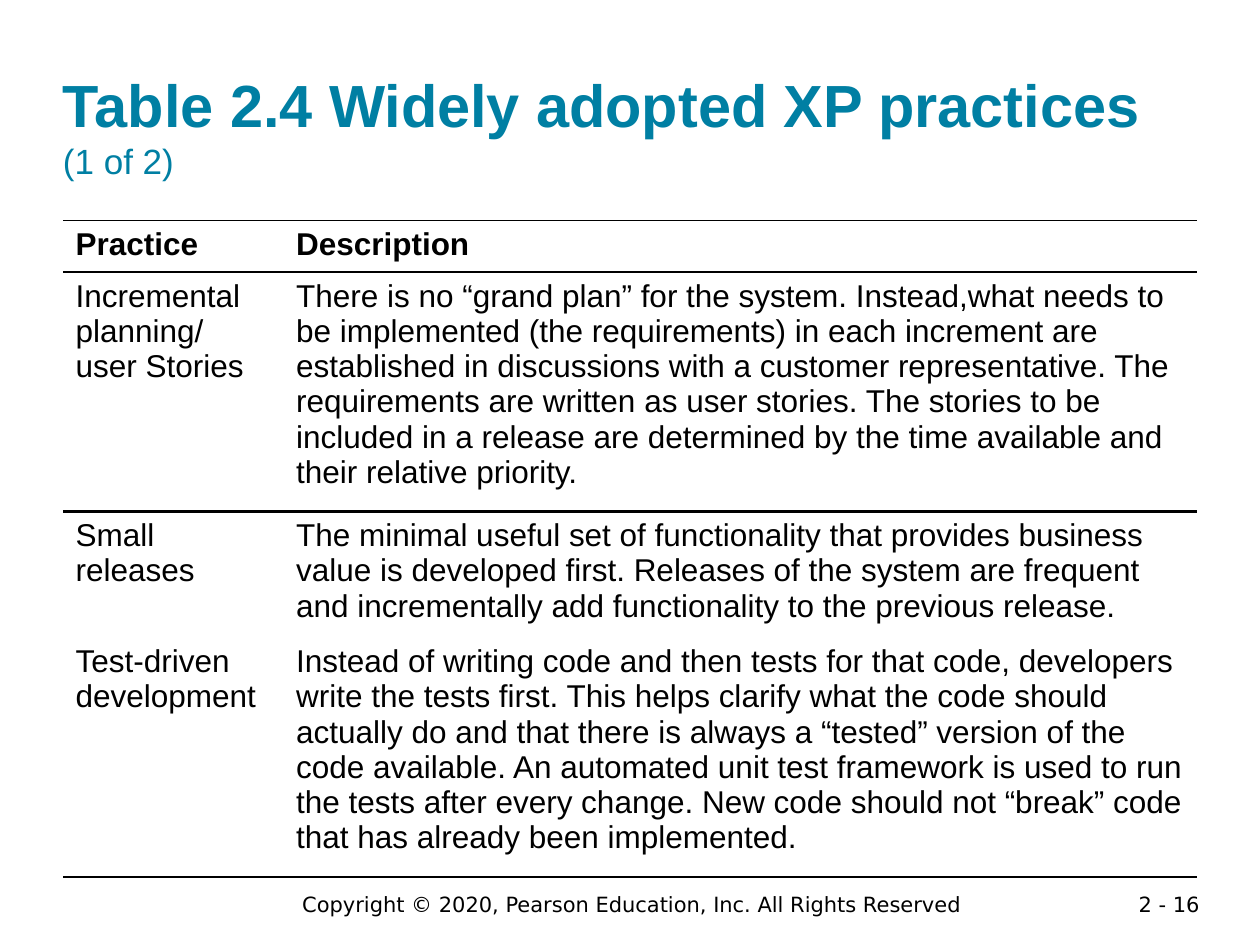
from typing import NamedTuple

from lxml import etree
from pptx import Presentation
from pptx.dml.color import RGBColor
from pptx.enum.text import MSO_ANCHOR, PP_ALIGN
from pptx.oxml.ns import qn
from pptx.util import Inches, Pt

LEFT, CENTER, RIGHT = PP_ALIGN.LEFT, PP_ALIGN.CENTER, PP_ALIGN.RIGHT
TOP, BOTTOM = MSO_ANCHOR.TOP, MSO_ANCHOR.BOTTOM
BLACK = RGBColor(0x00, 0x00, 0x00)
WHITE = RGBColor(0xFF, 0xFF, 0xFF)
TEAL = RGBColor(0x00, 0x7F, 0xA3)
BODY_FONT, FOOTER_FONT = "Arial", "DejaVu Sans"
COLUMN_WIDTHS = (1.75, 7.25)


class Practice(NamedTuple):
    name: str
    description: str
    height: float
    rule_below: float = 0
    bold: bool = False


class Footer(NamedTuple):
    text: str
    box: tuple[float, float, float, float]
    align: PP_ALIGN


PRACTICES = [
    Practice("Practice", "Description", 0.41, rule_below=1, bold=True),
    Practice(
        "Incremental planning/ user Stories",
        "There is no “grand plan” for the system. Instead,what needs to be "
        "implemented (the requirements) in each increment are established in "
        "discussions with a customer representative. The requirements are "
        "written as user stories. The stories to be included in a release are "
        "determined by the time available and their relative priority.",
        1.78, rule_below=1.5),
    Practice(
        "Small releases",
        "The minimal useful set of functionality that provides business value "
        "is developed first. Releases of the system are frequent and "
        "incrementally add functionality to the previous release.",
        0.94),
    Practice(
        "Test-driven development",
        "Instead of writing code and then tests for that code, developers "
        "write the tests first. This helps clarify what the code should "
        "actually do and that there is always a “tested” version of the code "
        "available. An automated unit test framework is used to run the tests "
        "after every change. New code should not “break” code that has already "
        "been implemented.",
        1.78, rule_below=1),
]
FOOTERS = [
    Footer("2 - 16", (8.62, 7.03, 1, 0.22), RIGHT),
    Footer("Copyright © 2020, Pearson Education, Inc. All Rights Reserved",
           (1.64, 7.03, 6.75, 0.3), CENTER),
]


def add_text(p, text: str, *, size: float, font: str = BODY_FONT,
             color: RGBColor = BLACK, bold: bool = False,
             align: PP_ALIGN = LEFT) -> None:
    p.alignment = align
    r = p.add_run()
    r.text = text
    r.font.size = Pt(size)
    r.font.name = font
    r.font.bold = bold
    r.font.color.rgb = color


def add_box(s, box: tuple[float, float, float, float], anchor: MSO_ANCHOR = TOP):
    tf = s.shapes.add_textbox(*map(Inches, box)).text_frame
    tf.word_wrap = True
    tf.vertical_anchor = anchor
    return tf


def set_border(cell, side: str, width: float) -> None:
    tc_pr = cell._tc.get_or_add_tcPr()
    ln = etree.SubElement(tc_pr, qn(f"a:{side}"), w=str(Pt(width)))
    if width:
        fill = etree.SubElement(ln, qn("a:solidFill"))
        etree.SubElement(fill, qn("a:srgbClr"), val=str(BLACK))
    else:
        etree.SubElement(ln, qn("a:noFill"))


def add_title(s) -> None:
    tf = add_box(s, (0.5, 0.24, 9, 1.2), BOTTOM)
    tf.margin_left = tf.margin_right = tf.margin_top = tf.margin_bottom = 0
    p = tf.paragraphs[0]
    add_text(p, "Table 2.4 Widely adopted XP practices", size=34, color=TEAL, bold=True)
    add_text(p, " ", size=20, color=TEAL, bold=True)
    p.add_line_break()
    add_text(p, "(1 of 2)", size=20, color=TEAL)


def add_practice_table(s, practices: list[Practice]) -> None:
    height = sum(practice.height for practice in practices)
    table = s.shapes.add_table(
        len(practices), len(COLUMN_WIDTHS), Inches(0.5), Inches(1.75),
        Inches(sum(COLUMN_WIDTHS)), Inches(height)).table
    table.first_row = table.horz_banding = False
    for column, width in zip(table.columns, COLUMN_WIDTHS):
        column.width = Inches(width)
    rule_above = 1
    for row, practice in zip(table.rows, practices):
        row.height = Inches(practice.height)
        borders = {"lnL": 0, "lnR": 0, "lnT": rule_above, "lnB": practice.rule_below}
        for cell, text in zip(row.cells, (practice.name, practice.description)):
            for side, width in borders.items():
                set_border(cell, side, width)
            cell.fill.solid()
            cell.fill.fore_color.rgb = WHITE
            add_text(cell.text_frame.paragraphs[0], text, size=18, bold=practice.bold)
        rule_above = practice.rule_below


def add_footer(s, footer: Footer) -> None:
    tf = add_box(s, footer.box)
    add_text(tf.paragraphs[0], footer.text, size=12, font=FOOTER_FONT, align=footer.align)


def main() -> None:
    prs = Presentation()
    prs.slide_width, prs.slide_height = Inches(10), Inches(7.5)
    s = prs.slides.add_slide(prs.slide_layouts[6])
    for footer in FOOTERS:
        add_footer(s, footer)
    add_practice_table(s, PRACTICES)
    add_title(s)
    prs.save("out.pptx")


if __name__ == "__main__":
    main()
